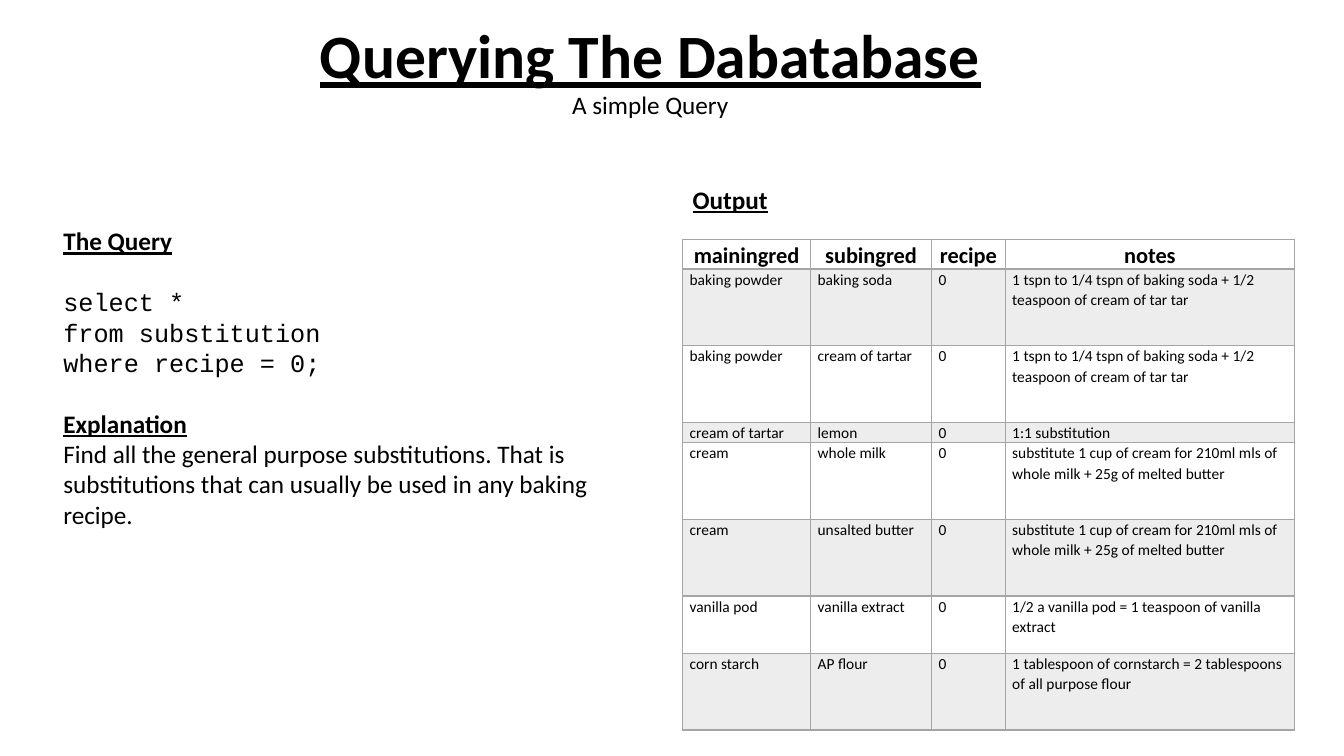
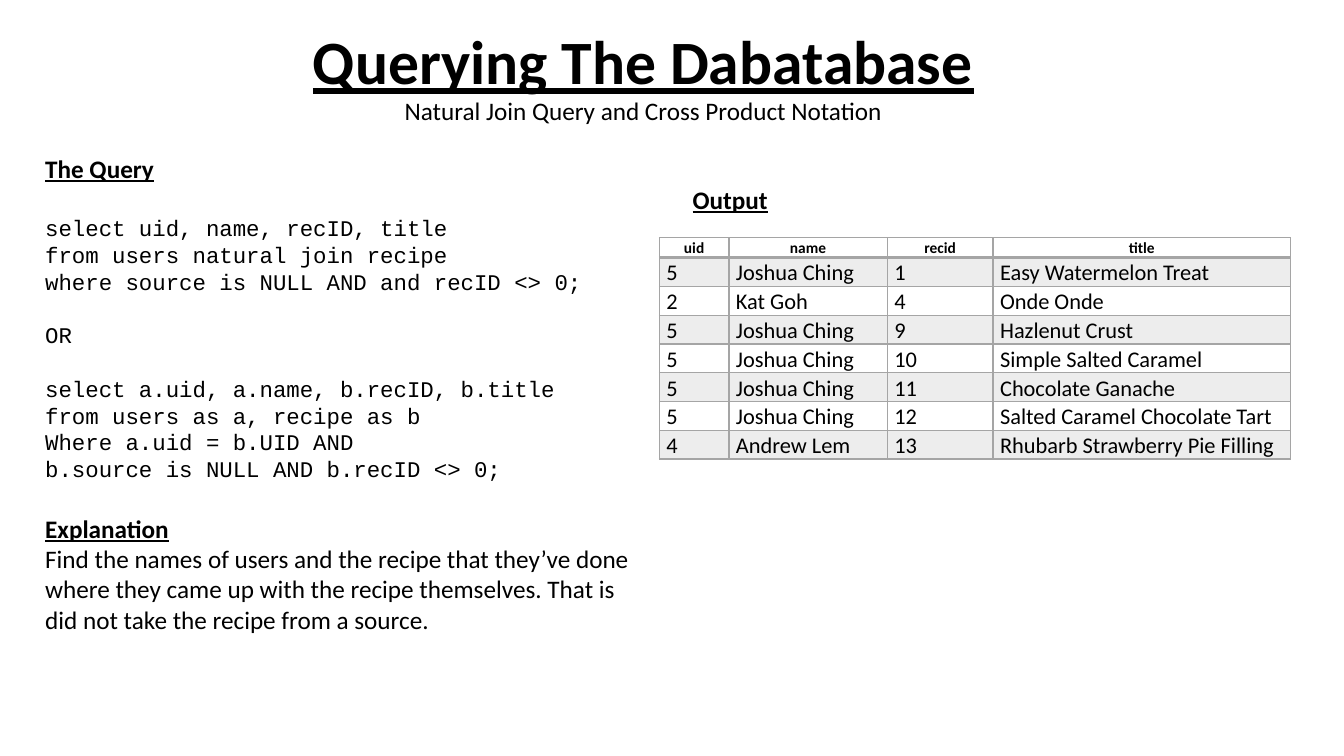
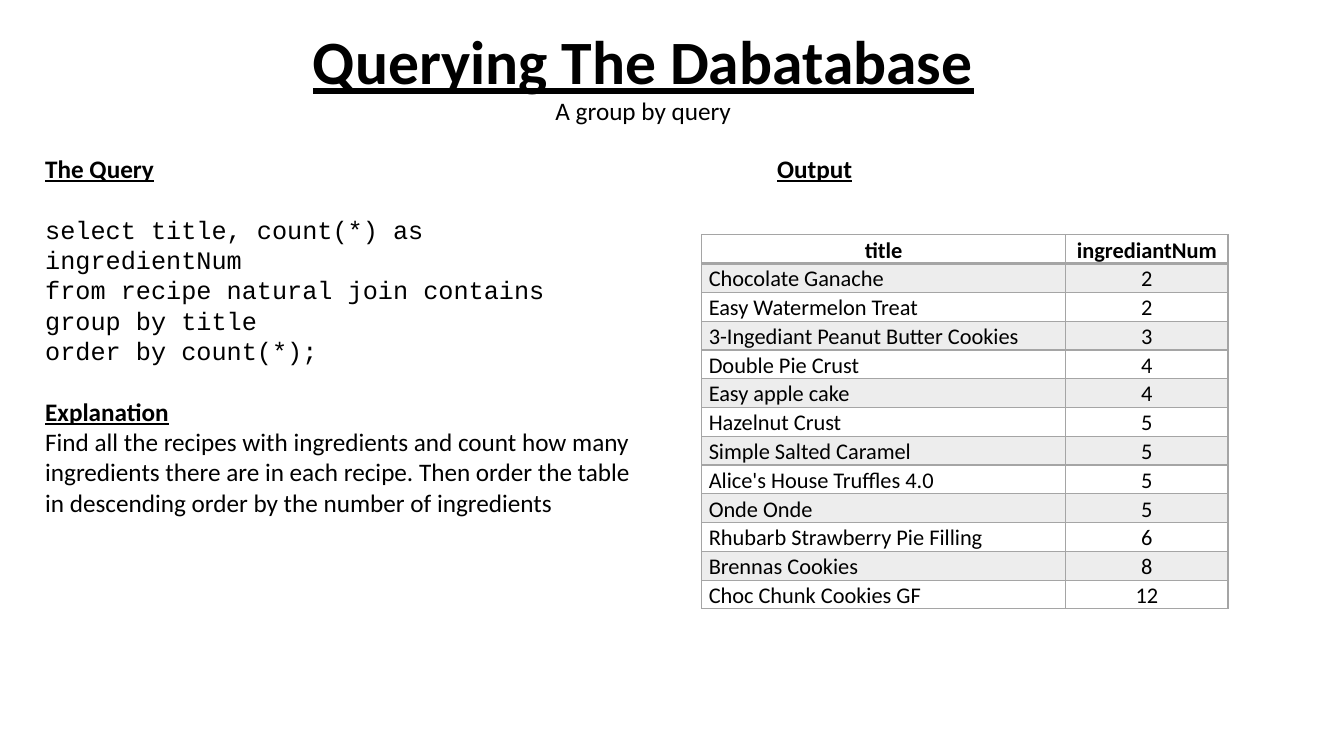
import dataclasses

import lxml.etree
import pptx
import pptx.dml.color
import pptx.enum.text
import pptx.oxml.ns
import pptx.util

EMU_PER_PX = 9144
TITLE_ONLY_LAYOUT = 5
ALIGN = pptx.enum.text.PP_ALIGN


@dataclasses.dataclass(frozen=True)
class Theme:
    text_font: str = "Calibri"
    code_font: str = "Courier New"
    ink: str = "000000"
    rule: str = "A5A5A5"
    band: str = "EDEDED"
    title_size: int = 44
    text_size: int = 18
    cell_size: int = 16
    small_size: int = 11
    text_gap: int = 22
    code_gap: int = 19
    thin: int = 1
    thick: int = 2


THEME = Theme()


def px(length):
    return pptx.util.Emu(length * EMU_PER_PX)


def style_run(run, size, font=THEME.text_font, bold=False, underline=False):
    run.font.name = font
    run.font.size = pptx.util.Pt(size)
    run.font.bold = bold
    run.font.underline = underline
    run.font.color.rgb = pptx.dml.color.RGBColor.from_string(THEME.ink)


def add_title(slide, box, subtitle):
    title = slide.shapes.title
    title.left, title.top, title.width, title.height = map(px, box)
    text_frame = title.text_frame
    text_frame.text = "Querying The Dabatabase\v" + subtitle
    text_frame.auto_size = pptx.enum.text.MSO_AUTO_SIZE.NONE
    text_frame.vertical_anchor = pptx.enum.text.MSO_ANCHOR.MIDDLE
    paragraph = text_frame.paragraphs[0]
    paragraph.alignment = ALIGN.CENTER
    paragraph.line_spacing = 0.9
    heading_run, subtitle_run = paragraph.runs
    style_run(heading_run, THEME.title_size, bold=True, underline=True)
    style_run(subtitle_run, THEME.text_size)


def add_text(slide, box, lines):
    text_frame = slide.shapes.add_textbox(*map(px, box)).text_frame
    text_frame.word_wrap = True
    text_frame.text = "\n".join(text for text, gap, style in lines)
    for paragraph, (text, gap, style) in zip(text_frame.paragraphs, lines):
        paragraph.space_before = pptx.util.Pt(gap)
        style_run(paragraph.runs[0], **style)


def add_query(slide, box, code_blocks, code_size, explanation):
    heading = dict(size=THEME.text_size, bold=True, underline=True)
    code = dict(size=code_size, font=THEME.code_font)
    lines = [("The Query", 0, heading)]
    block_gap = THEME.text_gap
    for block in code_blocks:
        for index, text in enumerate(block):
            lines.append((text, 0 if index else block_gap, code))
        block_gap = THEME.code_gap
    lines.append(("Explanation", THEME.text_gap, heading))
    lines.append((explanation, 0, dict(size=THEME.text_size)))
    add_text(slide, box, lines)


def add_output_heading(slide, left, top):
    heading = dict(size=THEME.text_size, bold=True, underline=True)
    add_text(slide, (left, top, 111, 40), [("Output", 0, heading)])


def set_borders(cell, top, bottom):
    properties = cell._tc.get_or_add_tcPr()
    qualify = pptx.oxml.ns.qn
    widths = {"L": THEME.thin, "R": THEME.thin, "T": top, "B": bottom}
    for side, width in widths.items():
        line = lxml.etree.SubElement(properties, qualify("a:ln" + side), w=str(pptx.util.Pt(width)))
        fill = lxml.etree.SubElement(line, qualify("a:solidFill"))
        lxml.etree.SubElement(fill, qualify("a:srgbClr"), val=THEME.rule)


def format_cell(cell, row_index, size, centred):
    is_header = row_index == 0
    cell.margin_left = cell.margin_right = px(7)
    cell.margin_top = cell.margin_bottom = 0
    set_borders(
        cell,
        top=THEME.thick if row_index == 1 else THEME.thin,
        bottom=THEME.thick if is_header else THEME.thin,
    )
    if row_index % 2:
        cell.fill.solid()
        cell.fill.fore_color.rgb = pptx.dml.color.RGBColor.from_string(THEME.band)
    else:
        cell.fill.background()
    paragraph = cell.text_frame.paragraphs[0]
    paragraph.line_spacing = 1.07
    paragraph.alignment = ALIGN.CENTER if is_header or centred else ALIGN.LEFT
    style_run(paragraph.runs[0], size, bold=is_header)


def add_output_table(slide, left, top, widths, heights, rows, header_size, body_size, centred=()):
    table = slide.shapes.add_table(
        len(rows), len(widths), px(left), px(top), px(sum(widths)), px(sum(heights))
    ).table
    table.horz_banding = False
    for column, width in zip(table.columns, widths):
        column.width = px(width)
    for row_index, (row, height, values) in enumerate(zip(table.rows, heights, rows)):
        row.height = px(height)
        size = body_size if row_index else header_size
        for column_index, (cell, value) in enumerate(zip(row.cells, values)):
            cell.text = value
            format_cell(cell, row_index, size, column_index in centred)


def add_slide(presentation, title_box, subtitle):
    slide = presentation.slides.add_slide(presentation.slide_layouts[TITLE_ONLY_LAYOUT])
    add_title(slide, title_box, subtitle)
    return slide


def build_simple_query(presentation):
    slide = add_slide(presentation, (291, 14, 708, 116), "A simple Query")
    baking_powder_note = "1 tspn to 1/4 tspn of baking soda + 1/2 teaspoon of cream of tar tar"
    cream_note = "substitute 1 cup of cream for 210ml mls of whole milk + 25g of melted butter"
    rows = [
        ("mainingred", "subingred", "recipe", "notes"),
        ("baking powder", "baking soda", "0", baking_powder_note),
        ("baking powder", "cream of tartar", "0", baking_powder_note),
        ("cream of tartar", "lemon", "0", "1:1 substitution"),
        ("cream", "whole milk", "0", cream_note),
        ("cream", "unsalted butter", "0", cream_note),
        ("vanilla pod", "vanilla extract", "0", "1/2 a vanilla pod = 1 teaspoon of vanilla extract"),
        ("corn starch", "AP flour", "0", "1 tablespoon of cornstarch = 2 tablespoons of all purpose flour"),
    ]
    add_output_table(
        slide, 677, 238, (127, 120, 73, 287), (28, 76, 76, 19, 76, 76, 57, 76), rows,
        THEME.cell_size, THEME.small_size,
    )
    add_query(
        slide, (53, 219, 550, 313),
        [("select *", "from substitution", "where recipe = 0;")],
        THEME.text_size,
        "Find all the general purpose substitutions. That is substitutions "
        "that can usually be used in any baking recipe.",
    )
    add_output_heading(slide, 677, 178)


def build_join_query(presentation):
    slide = add_slide(
        presentation, (284, 20, 708, 116), "Natural Join Query and Cross Product Notation"
    )
    add_query(
        slide, (35, 147, 603, 491),
        [
            (
                "select uid, name, recID, title",
                "from users natural join recipe",
                "where source is NULL AND and recID <> 0;",
            ),
            ("OR",),
            (
                "select a.uid, a.name, b.recID, b.title",
                "from users as a, recipe as b",
                "Where a.uid = b.UID AND",
                "b.source is NULL AND b.recID <> 0;",
            ),
        ],
        THEME.cell_size,
        "Find the names of users and the recipe that they’ve done where they came up "
        "with the recipe themselves. That is did not take the recipe from a source.",
    )
    rows = [
        ("uid", "name", "recid", "title"),
        ("5", "Joshua Ching", "1", "Easy Watermelon Treat"),
        ("2", "Kat Goh", "4", "Onde Onde"),
        ("5", "Joshua Ching", "9", "Hazlenut Crust"),
        ("5", "Joshua Ching", "10", "Simple Salted Caramel"),
        ("5", "Joshua Ching", "11", "Chocolate Ganache"),
        ("5", "Joshua Ching", "12", "Salted Caramel Chocolate Tart"),
        ("4", "Andrew Lem", "13", "Rhubarb Strawberry Pie Filling"),
    ]
    add_output_table(
        slide, 654, 236, (69, 157, 105, 295), [19] + [28] * 7, rows,
        THEME.small_size, THEME.cell_size,
    )
    add_output_heading(slide, 677, 178)


def build_group_query(presentation):
    slide = add_slide(presentation, (284, 20, 708, 116), "A group by query")
    add_query(
        slide, (35, 147, 603, 343),
        [
            (
                "select title, count(*) as ingredientNum",
                "from recipe natural join contains",
                "group by title",
                "order by count(*);",
            )
        ],
        THEME.text_size,
        "Find all the recipes with ingredients and count how many ingredients there are in "
        "each recipe. Then order the table in descending order by the number of ingredients",
    )
    add_output_heading(slide, 761, 147)
    rows = [
        ("title", "ingrediantNum"),
        ("Chocolate Ganache", "2"),
        ("Easy Watermelon Treat", "2"),
        ("3-Ingediant Peanut Butter Cookies", "3"),
        ("Double Pie Crust", "4"),
        ("Easy apple cake", "4"),
        ("Hazelnut Crust", "5"),
        ("Simple Salted Caramel", "5"),
        ("Alice's House Truffles 4.0", "5"),
        ("Onde Onde", "5"),
        ("Rhubarb Strawberry Pie Filling", "6"),
        ("Brennas Cookies", "8"),
        ("Choc Chunk Cookies GF", "12"),
    ]
    add_output_table(
        slide, 696, 233, (361, 161), [28] * 13, rows,
        THEME.cell_size, THEME.cell_size, centred=(1,),
    )


def main():
    presentation = pptx.Presentation()
    presentation.slide_width = px(1333)
    presentation.slide_height = px(750)
    build_simple_query(presentation)
    build_join_query(presentation)
    build_group_query(presentation)
    presentation.save("out.pptx")


if __name__ == "__main__":
    main()
